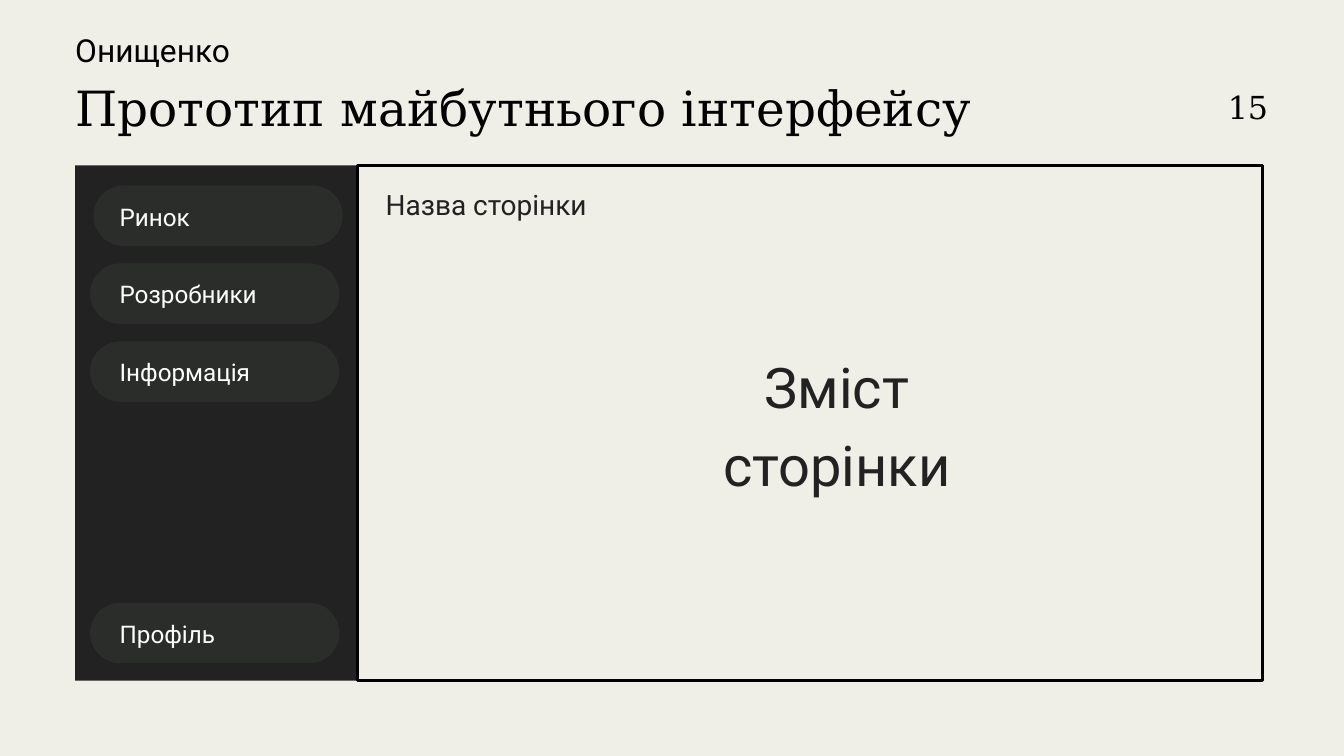
"""Build the slide with the prototype of the future interface."""
from pptx import Presentation
from pptx.dml.color import RGBColor
from pptx.enum.shapes import MSO_SHAPE as Shape
from pptx.enum.text import PP_ALIGN as Align
from pptx.util import Pt

PX = 9144
BLACK = RGBColor(0x00, 0x00, 0x00)
WHITE = RGBColor(0xFF, 0xFF, 0xFF)
CHARCOAL = RGBColor(0x22, 0x22, 0x22)
PILL = RGBColor(0x2B, 0x2D, 0x2B)
CREAM = RGBColor(0xEF, 0xEE, 0xE7)

deck = Presentation()
deck.slide_width, deck.slide_height = 2000 * PX, 1125 * PX
slide = deck.slides.add_slide(deck.slide_layouts[6])
slide.background.fill.solid()
slide.background.fill.fore_color.rgb = CREAM


def add_panel(kind, box, color):
    panel = slide.shapes.add_shape(kind, *(n * PX for n in box))
    panel.shadow.inherit = False
    panel.fill.solid()
    panel.fill.fore_color.rgb = color
    panel.line.fill.background()
    return panel


def add_text(words, box, size, spacing, color, font="Roboto", align=Align.LEFT):
    frame = slide.shapes.add_textbox(*(n * PX for n in box)).text_frame
    layout = {"word_wrap": True, "margin_left": 0, "margin_top": 0,
              "margin_right": 0, "margin_bottom": 0}
    for name, value in layout.items():
        setattr(frame, name, value)
    line = frame.paragraphs[0]
    line.text = words
    line.alignment = align
    line.line_spacing = Pt(spacing)
    for name, value in {"name": font, "size": Pt(size)}.items():
        setattr(line.runs[0].font, name, value)
    line.runs[0].font.color.rgb = color


add_panel(Shape.RECTANGLE, (112, 246, 1767, 767), CHARCOAL)
page = add_panel(Shape.RECTANGLE, (532, 246, 1347, 767), CREAM)
page.line.color.rgb = BLACK
page.line.width = Pt(3)

add_text("Прототип майбутнього інтерфейсу", (112, 101, 1654, 99), 52, 72.8,
         BLACK, "DejaVu Serif")
add_text("15", (1755, 121, 132, 63), 34, 47.6, BLACK, "DejaVu Serif", Align.RIGHT)

menu = [("Ринок", 139, 276), ("Розробники", 134, 392),
        ("Інформація", 134, 508), ("Профіль", 134, 897)]
for label, left, top in menu:
    button = add_panel(Shape.ROUNDED_RECTANGLE, (left, top, 371, 90), PILL)
    button.adjustments[0] = 0.5
    add_text(label, (178, top + 17, 284, 49), 26, 36.4, WHITE)

add_text("Назва сторінки", (574, 270, 525, 56), 30, 42, CHARCOAL)
add_text("Зміст сторінки", (983, 508, 525, 229), 60, 84, CHARCOAL, align=Align.CENTER)
add_text("Онищенко", (112, 37, 577, 63), 34, 47.6, BLACK)

deck.save("out.pptx")
